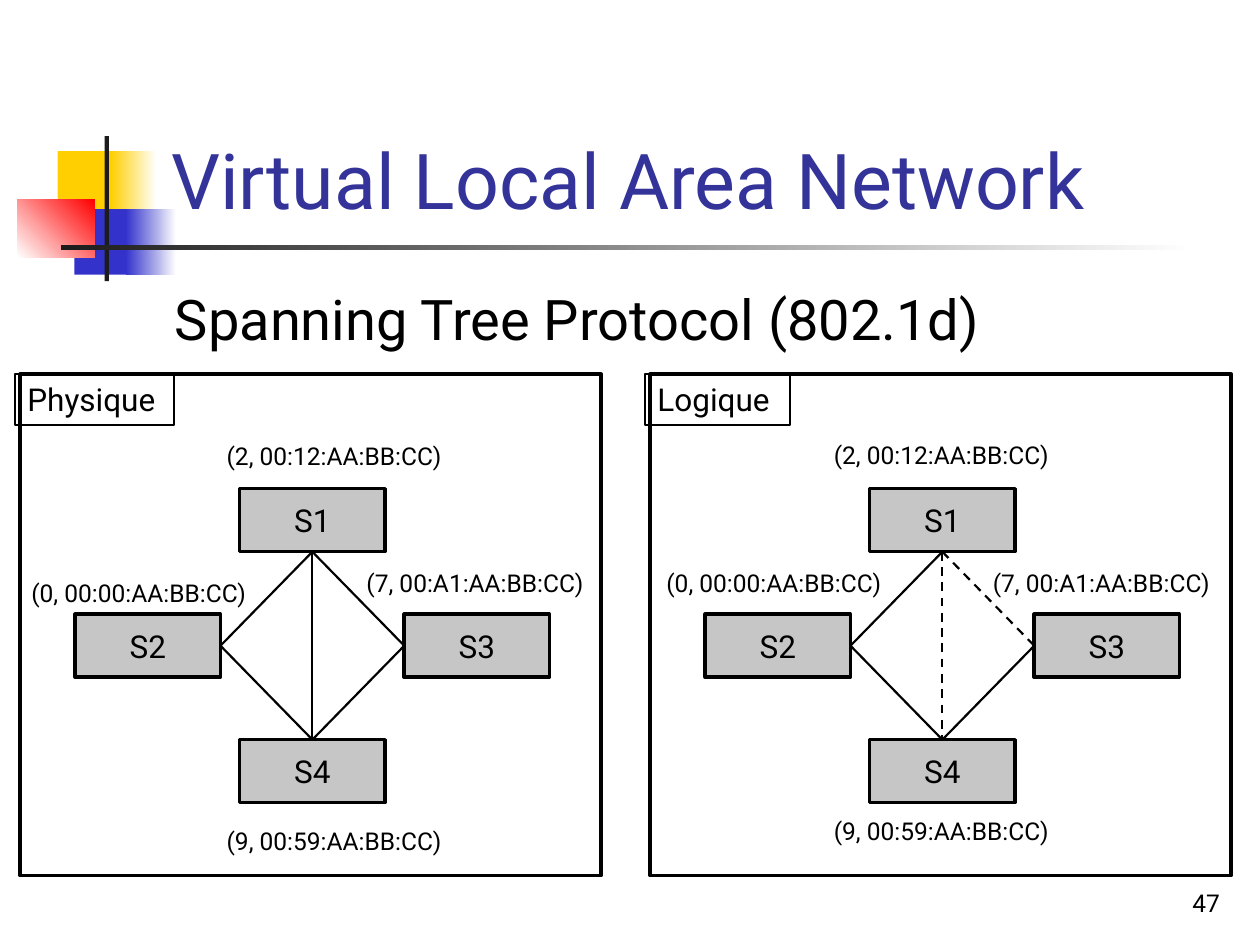
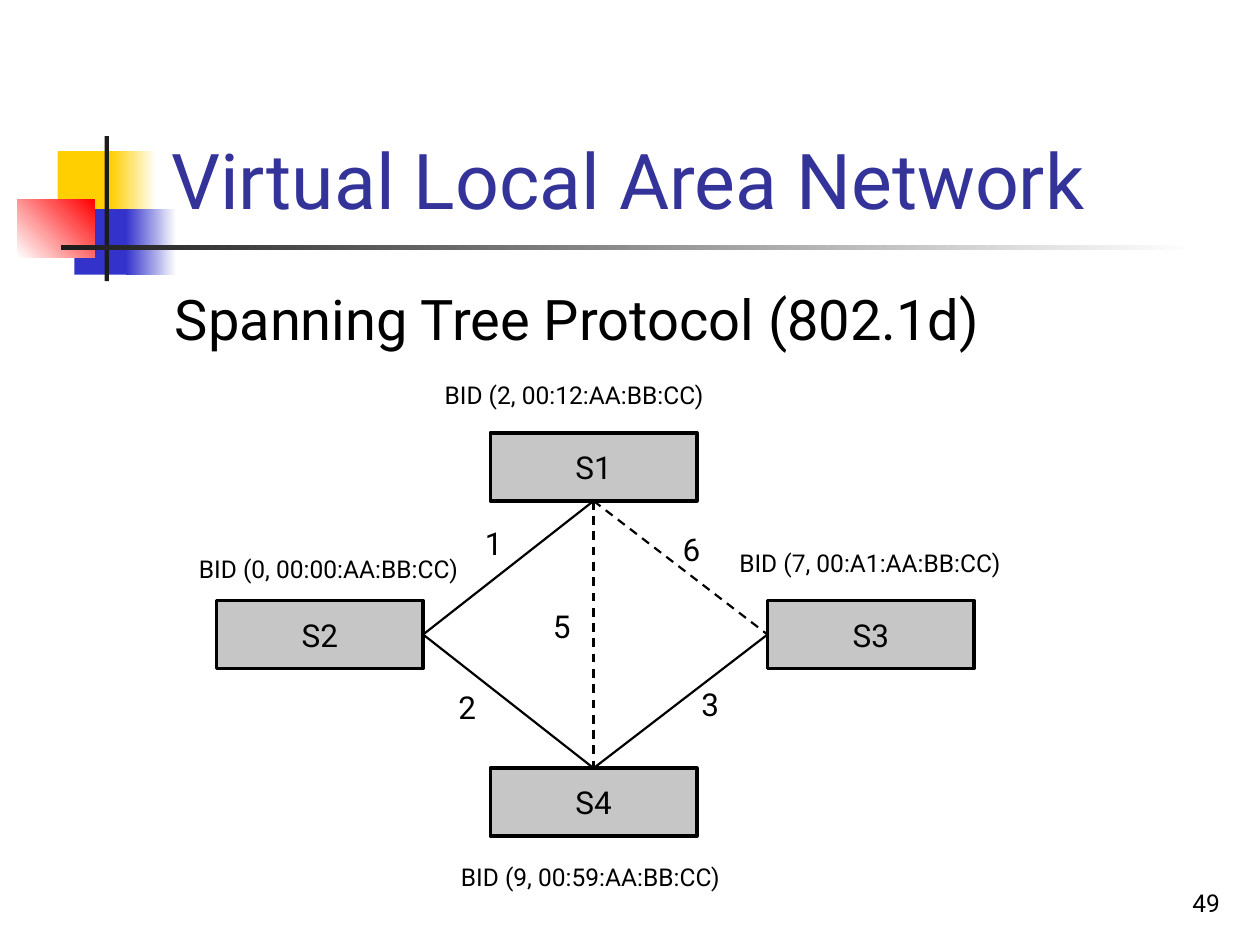
from lxml.etree import SubElement
from pptx import Presentation
from pptx.dml.color import RGBColor
from pptx.enum.dml import MSO_LINE
from pptx.enum.shapes import MSO_CONNECTOR, MSO_SHAPE
from pptx.enum.text import MSO_ANCHOR as Anchor, PP_ALIGN as Align
from pptx.oxml.ns import qn
from pptx.util import Pt

BLACK = RGBColor(0x00, 0x00, 0x00)
WHITE = RGBColor(0xFF, 0xFF, 0xFF)
GREY = RGBColor(0xC6, 0xC6, 0xC6)
CHARCOAL = RGBColor(0x1C, 0x1C, 0x1C)
YELLOW = RGBColor(0xFF, 0xCF, 0x01)
BLUE = RGBColor(0x33, 0x33, 0xCC)
RED = RGBColor(0xFF, 0x00, 0x00)
TITLE_BLUE = RGBColor(0x33, 0x33, 0x99)
FONT = "Roboto"

TITLE = "Virtual Local Area Network"
SUBTITLE = "Spanning Tree Protocol (802.1d)"

DECORATION = [
    ((33, 86.4, 34.6, 37.4), (YELLOW,), 0),
    ((63.4, 86.4, 25.9, 37.4), (YELLOW, WHITE), 0),
    ((42.5, 119.5, 33.1, 37.4), (BLUE,), 0),
    ((72, 119.5, 28.8, 37.4), (BLUE, WHITE), 0),
    ((10, 113.8, 44, 33.1), (WHITE, RED), 45),
    ((59.8, 77.8, 2.4, 82.8), (CHARCOAL,), 0),
    ((34.6, 140.2, 648, 2.4), (CHARCOAL, WHITE), 0),
]

BRIDGE_IDS = {
    "S1": "(2, 00:12:AA:BB:CC)",
    "S2": "(0, 00:00:AA:BB:CC)",
    "S3": "(7, 00:A1:AA:BB:CC)",
    "S4": "(9, 00:59:AA:BB:CC)",
}
LINKS = [("S2", "S1"), ("S1", "S3"), ("S3", "S4"), ("S2", "S4"), ("S1", "S4")]
BLOCKED_LINKS = [("S1", "S3"), ("S1", "S4")]
INNER_SITE = {"S1": 2, "S2": 3, "S3": 1, "S4": 0}

PANEL_STEP = 360
PANELS = [
    {
        "name": "Physique", "tag_width": 90.7, "blocked": [],
        "labels": {"S1": (122.4, 248.4), "S2": (10.8, 326.9),
                   "S3": (202.3, 321.1), "S4": (122.4, 468.7)},
    },
    {
        "name": "Logique", "tag_width": 82.8, "blocked": BLOCKED_LINKS,
        "labels": {"S1": (469.4, 247.7), "S2": (373.7, 321.1),
                   "S3": (560.2, 321.1), "S4": (469.4, 463)},
    },
]
BID_LABELS = {"S1": (247, 213.8), "S2": (106.6, 313.2),
              "S3": (415.4, 309.6), "S4": (256.3, 488.9)}
LINK_NUMBERS = [("1", 270, 295.9), ("2", 254.9, 389.5), ("5", 308.9, 343.4),
                ("6", 383, 299.5), ("3", 393.8, 388.1)]


def write(box, text, size, color=BLACK, align=Align.LEFT, anchor=Anchor.TOP):
    frame = box.text_frame
    frame.word_wrap = True
    frame.vertical_anchor = anchor
    para = frame.paragraphs[0]
    para.text = text
    para.alignment = align
    para.font.name = FONT
    para.font.size = Pt(size)
    para.font.color.rgb = color


def add_text(page, place, text, size, **style):
    box = page.shapes.add_textbox(*map(Pt, place))
    write(box, text, size, **style)


def add_rectangle(page, place, colors=(), angle=0, line_width=0):
    box = page.shapes.add_shape(MSO_SHAPE.RECTANGLE, *map(Pt, place))
    box.shadow.inherit = False
    if len(colors) == 2:
        box.fill.gradient()
        box.fill.gradient_angle = angle
        for stop, color in zip(box.fill.gradient_stops, colors):
            stop.color.rgb = color
    elif colors:
        box.fill.solid()
        box.fill.fore_color.rgb = colors[0]
    else:
        box.fill.background()
    if line_width:
        box.line.color.rgb = BLACK
        box.line.width = Pt(line_width)
    else:
        box.line.fill.background()
    return box


def add_link(page, start, end, switches, dashed):
    link = page.shapes.add_connector(MSO_CONNECTOR.STRAIGHT, 0, 0, 0, 0)
    link.begin_connect(switches[start], INNER_SITE[start])
    link.end_connect(switches[end], INNER_SITE[end])
    link.line.color.rgb = BLACK
    link.line.width = Pt(1.25)
    if dashed:
        link.line.dash_style = MSO_LINE.DASH
    SubElement(link._element.spPr, qn("a:effectLst"))


def add_network(page, center, reach, size, blocked):
    x, y = center
    left, right, rise = reach
    width, height = size
    centers = {"S1": (x, y - rise), "S2": (x - left, y),
               "S4": (x, y + rise), "S3": (x + right, y)}
    switches = {}
    for name, (middle_x, middle_y) in centers.items():
        place = (middle_x - width / 2, middle_y - height / 2, width, height)
        switches[name] = add_rectangle(page, place, (GREY,), line_width=2)
        write(switches[name], name, 18, align=Align.CENTER, anchor=Anchor.MIDDLE)
    for start, end in LINKS:
        add_link(page, start, end, switches, (start, end) in blocked)


def add_bridge_labels(page, places, width, prefix=""):
    for name, (x, y) in places.items():
        add_text(page, (x, y, width, 24.5), prefix + BRIDGE_IDS[name], 14)


def add_page(deck, number):
    page = deck.slides.add_slide(deck.slide_layouts[6])
    for place, colors, angle in DECORATION:
        add_rectangle(page, place, colors, angle)
    add_text(page, (90.7, 16.6, 613.4, 115.2), TITLE, 44,
             color=TITLE_BLUE, anchor=Anchor.BOTTOM)
    add_text(page, (92.9, 159.1, 612, 54.7), SUBTITLE, 32)
    add_text(page, (554.4, 491.8, 149.8, 36), str(number), 14,
             align=Align.RIGHT, anchor=Anchor.BOTTOM)
    return page


def add_comparison(deck):
    page = add_page(deck, 47)
    for index, panel in enumerate(PANELS):
        shift = index * PANEL_STEP
        add_network(page, (178.5 + shift, 369), (94, 94, 71.7), (83, 36),
                    panel["blocked"])
        add_bridge_labels(page, panel["labels"], 142)
        tag = add_rectangle(page, (8.6 + shift, 213.8, panel["tag_width"], 29),
                            line_width=1.25)
        write(tag, panel["name"], 18)
        add_rectangle(page, (11.5 + shift, 213.8, 332, 286.6), line_width=2)


def add_numbered_tree(deck):
    page = add_page(deck, 49)
    add_network(page, (339.2, 362.6), (156.4, 158.4, 95.8), (118, 38.9),
                BLOCKED_LINKS)
    add_bridge_labels(page, BID_LABELS, 175, "BID ")
    for number, x, y in LINK_NUMBERS:
        add_text(page, (x, y, 25, 29), number, 18)


def main():
    deck = Presentation()
    deck.slide_width, deck.slide_height = Pt(720), Pt(540)
    add_comparison(deck)
    add_numbered_tree(deck)
    deck.save("out.pptx")


if __name__ == "__main__":
    main()
